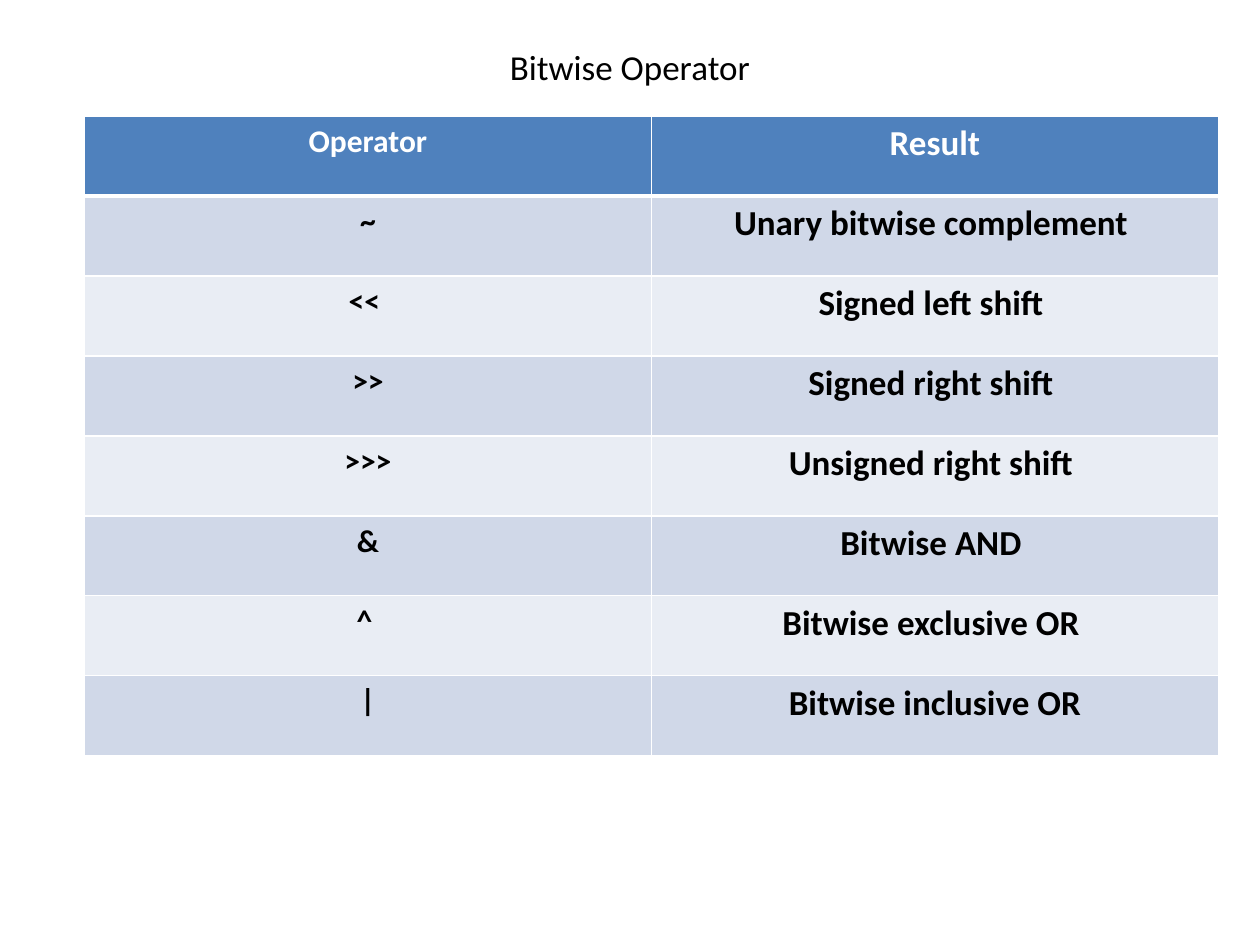
from dataclasses import dataclass
from typing import Any

from lxml.etree import SubElement
from pptx import Presentation
from pptx.dml.color import RGBColor
from pptx.enum.text import MSO_ANCHOR as Anchor, PP_ALIGN as Align
from pptx.oxml.ns import qn
from pptx.util import Inches, Pt

ROWS = [
    ("Operator", "Result"),
    ("~", "Unary bitwise complement "),
    ("<< ", "Signed left shift "),
    (">>", "Signed right shift "),
    (" >>> ", "Unsigned right shift "),
    ("&", "Bitwise AND "),
    ("^ ", "Bitwise exclusive OR "),
    ("|", "Bitwise inclusive OR"),
]


def color(value):
    return RGBColor.from_string(value)


def write(frame, text, font="Calibri", size=18, fill="000000", bold=False, align=Align.CENTER):
    para = frame.paragraphs[0]
    para.alignment = align
    span = para.add_run()
    span.text = text
    span.font.name = font
    span.font.size = Pt(size)
    span.font.bold = bold
    span.font.color.rgb = color(fill)


@dataclass
class OperatorSlide:
    """Hold the table style and the slide being filled."""

    page: Any
    header: str = "4F81BD"
    bands: tuple = ("E9EDF4", "D0D8E8")
    rule: str = "FFFFFF"
    sizes: tuple = (18, 20)

    def title(self, text, left, top, width, height):
        box = self.page.shapes.add_textbox(Inches(left), Inches(top), Inches(width), Inches(height))
        frame = box.text_frame
        frame.word_wrap = True
        frame.vertical_anchor = Anchor.MIDDLE
        write(frame, text, size=20)

    def border(self, cell, side, width):
        properties = cell._tc.get_or_add_tcPr()
        line = SubElement(properties, qn(f"a:ln{side}"), w=str(Pt(width)))
        solid = SubElement(line, qn("a:solidFill"))
        SubElement(solid, qn("a:srgbClr"), val=self.rule)

    def table(self, rows, left, top, width, height):
        shape = self.page.shapes.add_table(
            len(rows), len(rows[0]), Inches(left), Inches(top), Inches(width), Inches(height))
        for row, texts in enumerate(rows):
            for column, text in enumerate(texts):
                cell = shape.table.cell(row, column)
                for side in "LRTB":
                    meets_header = (row, side) in ((0, "B"), (1, "T"))
                    self.border(cell, side, 3 if meets_header else 1)
                cell.fill.solid()
                cell.fill.fore_color.rgb = color(self.bands[row % 2] if row else self.header)
                write(cell.text_frame, text, size=self.sizes[column], bold=True,
                      fill="000000" if row else "FFFFFF")


deck = Presentation()
deck.slide_width, deck.slide_height = Inches(10), Inches(7.5)
slide = OperatorSlide(deck.slides.add_slide(deck.slide_layouts[6]))
slide.title("Bitwise Operator", 0.5, 0.3, 9, 0.45)
slide.table(ROWS, 0.67, 0.92, 9, 5.08)
deck.save("out.pptx")
